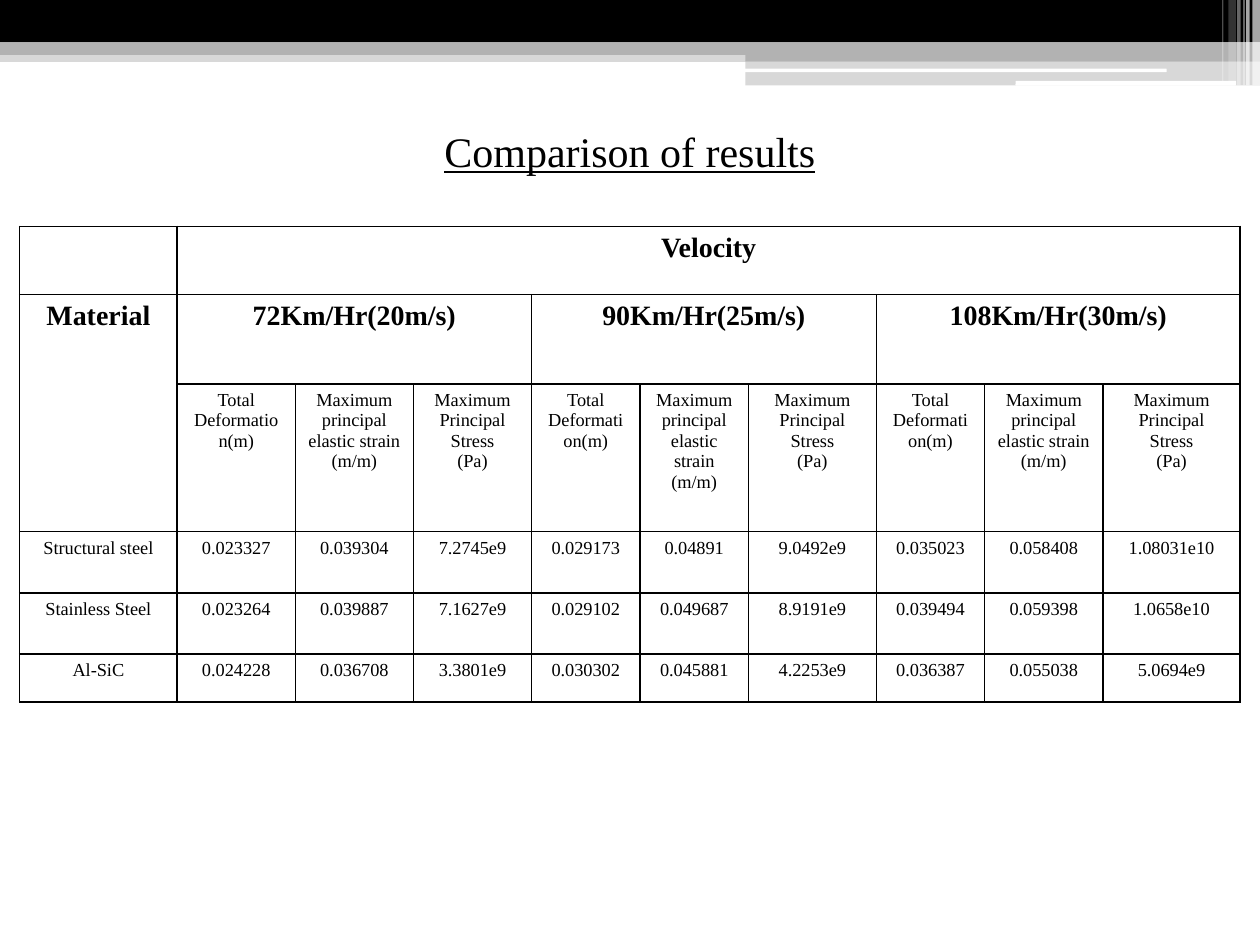
from lxml import etree
from pptx import Presentation
from pptx.dml.color import RGBColor
from pptx.enum.shapes import MSO_SHAPE
from pptx.enum.text import MSO_ANCHOR, PP_ALIGN
from pptx.oxml.ns import qn
from pptx.util import Pt

RECT, ROUND = MSO_SHAPE.RECTANGLE, MSO_SHAPE.ROUNDED_RECTANGLE
CENTER, MIDDLE = PP_ALIGN.CENTER, MSO_ANCHOR.MIDDLE
BLACK = RGBColor(0x00, 0x00, 0x00)
GRAY = RGBColor(0xB2, 0xB2, 0xB2)
WHITE = RGBColor(0xFF, 0xFF, 0xFF)
FONT = "Times New Roman"
SLIDE_W, SLIDE_H = 720, 540

# Header decoration: preset, left, top, width, height, colour, opacity in percent
BANDS = [
    (RECT, 0, 28.8, 720, 6.6, GRAY, 50),
    (RECT, 0, 0, 720, 24.2, BLACK, 100),
    (RECT, 0, 24.2, 720, 7.2, GRAY, 100),
    (RECT, 426, 28, 294, 7, GRAY, 100),
    (RECT, 426, 34.6, 294, 14.2, GRAY, 50),
    (ROUND, 425.5, 39.2, 241.2, 2, WHITE, 100),
    (ROUND, 580.3, 46.2, 126, 2.7, WHITE, 100),
]
# Vertical strips at the right: left, width, height, opacity
STRIPS = [
    (715.7, 4.3, 48.8, 65), (712.1, 2, 48.8, 65), (710.5, 0.7, 48.8, 60),
    (707, 2, 48.8, 40), (702, 4.3, 46.2, 20), (698.4, 0.7, 46.2, 30),
]

TITLE = "Comparison of results"
VELOCITIES = ["72Km/Hr(20m/s)", "90Km/Hr(25m/s)", "108Km/Hr(30m/s)"]
MEASURES = ["Total Deformation(m)",
            "Maximum principal elastic strain\n(m/m)",
            "Maximum Principal Stress\n(Pa)"]
RESULTS = [
    ("Structural steel", "0.023327", "0.039304", "7.2745e9", "0.029173", "0.04891",
     "9.0492e9", "0.035023", "0.058408", "1.08031e10"),
    ("Stainless Steel", "0.023264", "0.039887", "7.1627e9", "0.029102", "0.049687",
     "8.9191e9", "0.039494", "0.059398", "1.0658e10"),
    ("Al-SiC", "0.024228", "0.036708", "3.3801e9", "0.030302", "0.045881",
     "4.2253e9", "0.036387", "0.055038", "5.0694e9"),
]
COL_WIDTHS = [90, 67.5, 67.5, 67.5, 62, 62, 73, 62, 67.5, 78.5]
ROW_HEIGHTS = [38.9, 51.1, 84.3, 35.1, 34.9, 27.4]
TABLE_LEFT, TABLE_TOP = 11.25, 129.4


def add_band(s, preset, left, top, width, height, color, opacity):
    sp = s.shapes.add_shape(preset, Pt(left), Pt(top), Pt(width), Pt(height))
    sp.shadow.inherit = False
    sp.line.fill.background()
    sp.fill.solid()
    sp.fill.fore_color.rgb = color
    if opacity < 100:
        clr = sp.fill._xPr.find(".//" + qn("a:srgbClr"))
        etree.SubElement(clr, qn("a:alpha"), val=str(opacity * 1000))


def style_text(tf, size, bold=False, underline=False):
    for p in tf.paragraphs:
        p.alignment = CENTER
        for r in p.runs:
            r.font.name, r.font.size = FONT, Pt(size)
            r.font.bold, r.font.underline = bold, underline
            r.font.color.rgb = BLACK


def add_borders(cell):
    tc_pr = cell._tc.get_or_add_tcPr()
    for i, side in enumerate(("a:lnL", "a:lnR", "a:lnT", "a:lnB")):
        ln = etree.Element(qn(side), w=str(Pt(1)))
        fill = etree.SubElement(ln, qn("a:solidFill"))
        etree.SubElement(fill, qn("a:srgbClr"), val=str(BLACK))
        tc_pr.insert(i, ln)


prs = Presentation()
prs.slide_width, prs.slide_height = Pt(SLIDE_W), Pt(SLIDE_H)
s = prs.slides.add_slide(prs.slide_layouts[6])

# Header
for band in BANDS:
    add_band(s, *band)
for left, width, height, opacity in STRIPS:
    add_band(s, RECT, left, 0, width, height, WHITE, opacity)

# Results table
rows = [
    ["", "Velocity"] + [""] * 8,
    ["Material"] + [t for v in VELOCITIES for t in (v, "", "")],
    [""] + MEASURES * len(VELOCITIES),
    *RESULTS,
]
table = s.shapes.add_table(len(rows), len(COL_WIDTHS), Pt(TABLE_LEFT), Pt(TABLE_TOP),
                           Pt(sum(COL_WIDTHS)), Pt(sum(ROW_HEIGHTS))).table
table.first_row = table.horz_banding = False
for col, width in zip(table.columns, COL_WIDTHS):
    col.width = Pt(width)
for row, height in zip(table.rows, ROW_HEIGHTS):
    row.height = Pt(height)
for i, texts in enumerate(rows):
    heading = i < 2
    for j, text in enumerate(texts):
        cell = table.cell(i, j)
        cell.fill.background()
        add_borders(cell)
        if text:
            cell.text_frame.text = text
            style_text(cell.text_frame, 16 if heading else 10.5, bold=heading)

# Merged headings
table.cell(0, 1).merge(table.cell(0, 9))
table.cell(1, 0).merge(table.cell(2, 0))
for j in range(1, 10, len(MEASURES)):
    table.cell(1, j).merge(table.cell(1, j + len(MEASURES) - 1))

# Title
tf = s.shapes.add_textbox(0, Pt(68), Pt(SLIDE_W), Pt(36)).text_frame
tf.word_wrap = True
tf.vertical_anchor = MIDDLE
tf.text = TITLE
style_text(tf, 24, underline=True)

prs.save("out.pptx")
